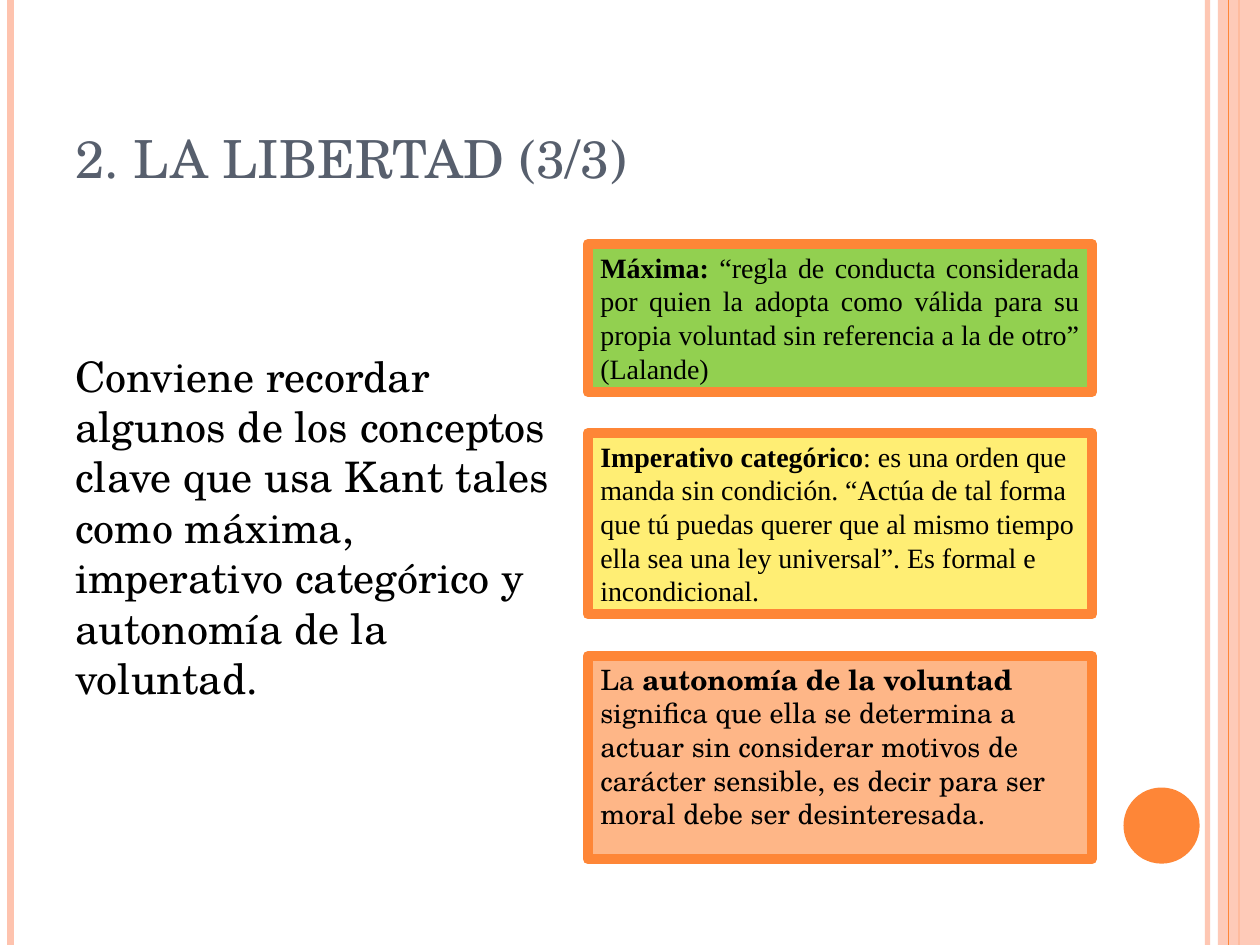
from lxml.etree import SubElement
from pptx import Presentation
from pptx.dml.color import RGBColor
from pptx.enum.shapes import MSO_CONNECTOR as Connector, MSO_SHAPE as Shape
from pptx.enum.text import MSO_ANCHOR as Anchor, MSO_AUTO_SIZE as AutoSize, PP_ALIGN as Align
from pptx.oxml.ns import qn
from pptx.util import Pt

WIDTH, HEIGHT = 720, 540
SERIF, ROMAN = "TeX Gyre Schola", "Times New Roman"
ORANGE, PEACH, SLATE, BLACK = "FE8637", "FEC3AE", "575F6D", "000000"
CONCEPTS = [
    (139.5, 84.5, "92D050", ROMAN, Align.JUSTIFY, [
        ("Máxima: ", True),
        ("“regla de conducta considerada por quien la adopta como válida para su "
         "propia voluntad sin referencia a la de otro” (Lalande)", False)]),
    (247.5, 103.5, "FFEE74", ROMAN, Align.LEFT, [
        ("Imperativo categórico", True),
        (": es una orden que manda sin condición. “Actúa de tal forma que tú puedas querer "
         "que al mismo tiempo ella sea una ley universal”. Es formal e incondicional.", False)]),
    (375, 116, "FEB687", SERIF, Align.LEFT, [
        ("La ", False),
        ("autonomía de la voluntad ", True),
        ("significa que ella se determina a actuar sin considerar motivos de carácter "
         "sensible, es decir para ser moral debe ser desinteresada.", False)]),
]


def color(value):
    """Turn a hex string into a colour."""
    return RGBColor.from_string(value)


def set_alpha(fill_owner, percent):
    """Set the opacity of the first solid colour in an element."""
    rgb = next(fill_owner.iter(qn("a:srgbClr")))
    SubElement(rgb, qn("a:alpha")).set("val", str(percent * 1000))


def place(shape, box):
    """Move and size a shape to a box in points."""
    shape.left, shape.top, shape.width, shape.height = map(Pt, box)


def write(frame, runs, font_name, size, text_color=BLACK, align=Align.LEFT, anchor=Anchor.TOP):
    """Fill a text frame with one paragraph of plain and bold runs."""
    frame.word_wrap = True
    frame.auto_size = AutoSize.NONE
    frame.vertical_anchor = anchor
    paragraph = frame.paragraphs[0]
    paragraph.alignment = align
    for text, bold in runs:
        run = paragraph.add_run()
        run.text = text
        run.font.name, run.font.size, run.font.bold = font_name, Pt(size), bold
        run.font.color.rgb = color(text_color)


def add_solid(slide, kind, box, fill):
    """Add a flat shape without outline."""
    shape = slide.shapes.add_shape(kind, *map(Pt, box))
    shape.shadow.inherit = False
    shape.fill.solid()
    shape.fill.fore_color.rgb = color(fill)
    shape.line.fill.background()
    return shape


def add_stripe(slide, x, line_color, width, opacity=100):
    """Add a vertical line over the full slide height."""
    stripe = slide.shapes.add_connector(Connector.STRAIGHT, Pt(x), 0, Pt(x), Pt(HEIGHT))
    stripe.line.color.rgb = color(line_color)
    stripe.line.width = Pt(width)
    properties = stripe._element.spPr
    SubElement(properties, qn("a:effectLst"))
    if opacity < 100:
        set_alpha(properties, opacity)


def add_frame(slide):
    """Draw the stripes, the side band and the dot."""
    add_stripe(slide, 690, PEACH, 3, 93)
    add_stripe(slide, 6, PEACH, 4.5)
    add_stripe(slide, 708, ORANGE, 1.5)
    band = add_solid(slide, Shape.RECTANGLE, (696, 0, WIDTH - 696, HEIGHT), PEACH)
    set_alpha(band._element.spPr, 87)
    add_stripe(slide, 702, ORANGE, 0.75)
    add_solid(slide, Shape.OVAL, (642, 450, 43.5, 43.5), ORANGE)


def add_title(slide, box, text):
    """Move and format the title placeholder."""
    title = slide.shapes.title
    place(title, box)
    write(title.text_frame, [(text, False)], SERIF, 30, SLATE, anchor=Anchor.BOTTOM)


def add_introduction(slide, box, text):
    """Add the introductory text."""
    text_box = slide.shapes.add_textbox(*map(Pt, box))
    write(text_box.text_frame, [(text, False)], SERIF, 24)


def add_concepts(slide, left, width):
    """Stack the framed definitions in a column."""
    for top, height, fill, font_name, align, runs in CONCEPTS:
        card = add_solid(slide, Shape.RECTANGLE, (left, top, width, height), fill)
        card.line.color.rgb = color(ORANGE)
        card.line.width = Pt(6)
        write(card.text_frame, runs, font_name, 16, align=align)


def main():
    """Build and save the slide."""
    presentation = Presentation()
    presentation.slide_width, presentation.slide_height = Pt(WIDTH), Pt(HEIGHT)
    slide = presentation.slides.add_slide(presentation.slide_layouts[5])
    add_frame(slide)
    add_title(slide, (36, 21.5, 588, 90), "2. LA LIBERTAD (3/3)")
    add_introduction(slide, (36, 196.5, 288, 227),
                     "Conviene recordar algunos de los conceptos clave que usa Kant tales "
                     "como máxima, imperativo categórico y autonomía de la voluntad.")
    add_concepts(slide, 336, 288)
    presentation.save("out.pptx")


if __name__ == "__main__":
    main()
